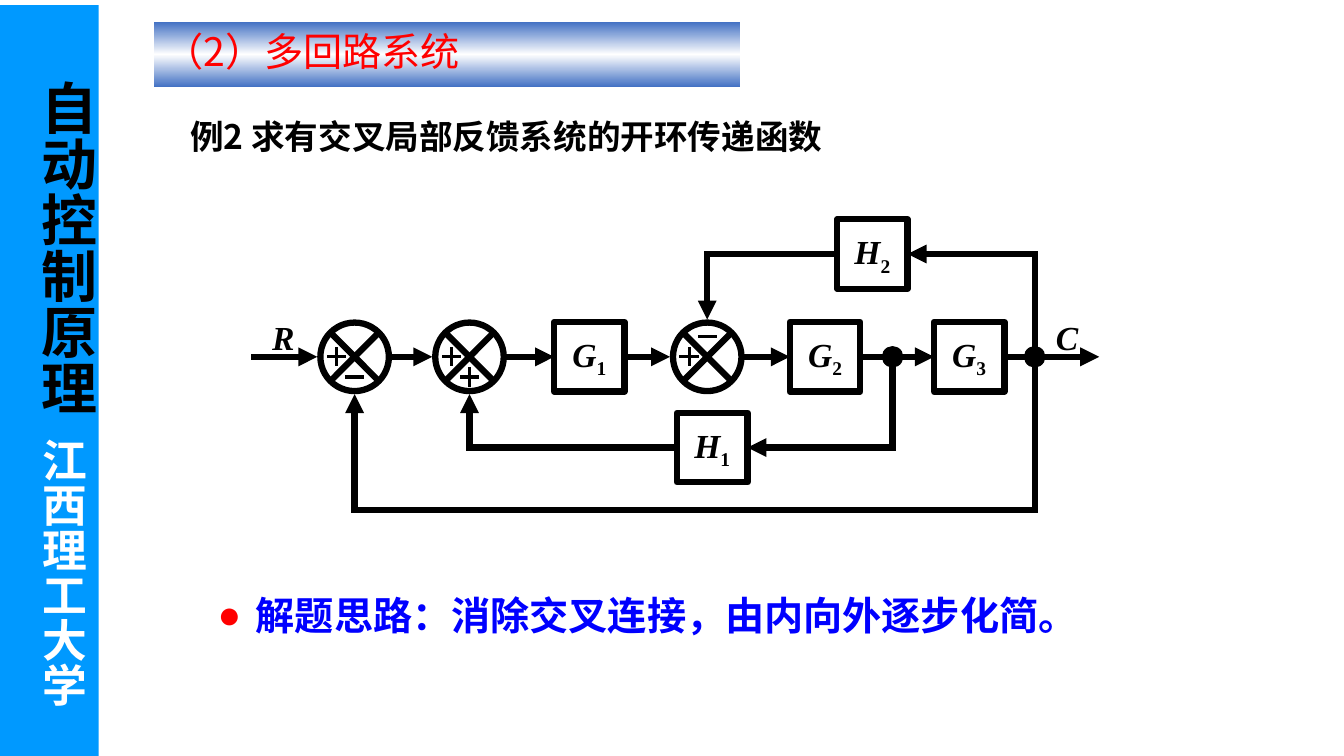
from copy import deepcopy

from lxml import etree
from pptx import Presentation
from pptx.dml.color import RGBColor
from pptx.enum.shapes import MSO_CONNECTOR, MSO_SHAPE
from pptx.enum.text import MSO_ANCHOR, PP_ALIGN
from pptx.oxml.ns import qn
from pptx.util import Inches, Pt

STRAIGHT = MSO_CONNECTOR.STRAIGHT
RECTANGLE, OVAL = MSO_SHAPE.RECTANGLE, MSO_SHAPE.OVAL
TOP, MIDDLE = MSO_ANCHOR.TOP, MSO_ANCHOR.MIDDLE
LEFT_ALIGN, CENTER = PP_ALIGN.LEFT, PP_ALIGN.CENTER
LEFT, RIGHT = 1, 3
COLORS = {"black": "000000", "white": "FFFFFF", "red": "FF0000",
          "blue": "0000FF", "sidebar": "0099FF", "banner": "4472C4"}
CJK, SERIF = "Noto Sans CJK SC", "Times New Roman"
THICK, THIN = 4.5, 2.25
RADIUS = 0.34
REACH = RADIUS + 0.03
SIGNAL, INNER, UPPER, OUTER = 3.54, 4.44, 2.52, 5.06


def color(name):
    return RGBColor.from_string(COLORS[name])


class DiagramSlide:
    def __init__(self, deck):
        self.page = deck.slides.add_slide(deck.slide_layouts[1])
        self.shapes = self.page.shapes

    def font(self, para, size, tint, name=CJK, bold=True, italic=False):
        font = para.font
        font.size, font.bold, font.italic = Pt(size), bold, italic
        font.color.rgb = color(tint)
        font.name = name
        defaults = para._p.pPr.find(qn("a:defRPr"))
        etree.SubElement(defaults, qn("a:ea")).set("typeface", CJK)

    def frame(self, box, inset=(0.1, 0.05), anchor=TOP, wrap=True):
        frame = box.text_frame
        frame.margin_left = frame.margin_right = Inches(inset[0])
        frame.margin_top = frame.margin_bottom = Inches(inset[1])
        frame.vertical_anchor, frame.word_wrap = anchor, wrap
        return frame

    def place(self, box, left, top, width, height):
        box.left, box.top = Inches(left), Inches(top)
        box.width, box.height = Inches(width), Inches(height)

    def banner(self, text):
        title = self.shapes.title
        self.place(title, 1.53, 0.22, 5.82, 0.64)
        title.fill.gradient()
        title.fill.gradient_angle = 90
        stops = title._element.spPr.find(".//" + qn("a:gsLst"))
        stops.insert(1, deepcopy(stops[0]))
        tints = ("banner", "white", "banner")
        for stop, tint, position in zip(title.fill.gradient_stops, tints, (0, 0.5, 1)):
            stop.color.rgb, stop.position = color(tint), position
        para = self.frame(title).paragraphs[0]
        para.text, para.alignment = text, LEFT_ALIGN
        self.font(para, 28, "red", bold=False)

    def bullet(self, text):
        body = self.page.placeholders[1]
        self.place(body, 2.06, 5.82, 8.74, 0.57)
        para = self.frame(body).paragraphs[0]
        para.text, para.space_before = text, Pt(0)
        settings = para._p.get_or_add_pPr()
        settings.set("marL", str(Inches(0.38)))
        settings.set("indent", str(-Inches(0.38)))
        tint = etree.SubElement(settings, qn("a:buClr"))
        etree.SubElement(tint, qn("a:srgbClr")).set("val", COLORS["red"])
        etree.SubElement(settings, qn("a:buChar")).set("char", "●")
        self.font(para, 28, "blue", "Lato")

    def text(self, text, left, top, width, height, size, tint="black", name=CJK,
             italic=False, inset=(0.1, 0.05), vertical=False):
        box = self.shapes.add_textbox(*map(Inches, (left, top, width, height)))
        frame = self.frame(box, inset)
        if vertical:
            frame._txBody.bodyPr.set("vert", "eaVert")
        para = frame.paragraphs[0]
        para.text = text
        self.font(para, size, tint, name, italic=italic)

    def shape(self, kind, left, top, width, height, fill=None, line=None):
        shape = self.shapes.add_shape(kind, *map(Inches, (left, top, width, height)))
        shape.shadow.inherit = False
        if fill:
            shape.fill.solid()
            shape.fill.fore_color.rgb = color(fill)
        else:
            shape.fill.background()
        if line:
            shape.line.color.rgb, shape.line.width = color("black"), Pt(line)
        else:
            shape.line.fill.background()
        return shape

    def block(self, letter, index, x, y):
        box = self.shape(RECTANGLE, x - 0.35, y - 0.345, 0.7, 0.69, line=THICK)
        para = self.frame(box, (0.12, 0.12), MIDDLE).paragraphs[0]
        para.alignment = CENTER
        self.font(para, 24, "black", SERIF, italic=True)
        para.add_run().text = letter
        span = para.add_run()
        span.text, span.font.italic = index, False
        span._r.get_or_add_rPr().set("baseline", "-25000")
        return box

    def line(self, start, end, arrow=False, width=THICK, source=None, target=None):
        line = self.shapes.add_connector(STRAIGHT, *map(Inches, start + end))
        if source:
            line.begin_connect(*source)
        if target:
            line.end_connect(*target)
        line.line.color.rgb, line.line.width = color("black"), Pt(width)
        outline = line.line._get_or_add_ln()
        outline.set("cap", "sq")
        if arrow:
            etree.SubElement(outline, qn("a:tailEnd")).set("type", "triangle")
        etree.SubElement(line._element.spPr, qn("a:effectLst"))

    def sign(self, symbol, x, y):
        self.line((x - 0.08, y), (x + 0.08, y), width=THIN)
        if symbol == "+":
            self.line((x, y - 0.08), (x, y + 0.08), width=THIN)

    def junction(self, x, symbol, offset):
        self.shape(OVAL, x - RADIUS, SIGNAL - RADIUS, 2 * RADIUS, 2 * RADIUS, line=THICK)
        for rise in (-0.21, 0.21):
            self.line((x - 0.21, SIGNAL - rise), (x + 0.21, SIGNAL + rise))
        self.sign("+", x - 0.18, SIGNAL)
        self.sign(symbol, x, SIGNAL + offset)

    def node(self, x):
        self.shape(OVAL, x - 0.1, SIGNAL - 0.1, 0.2, 0.2, "black", 1)


def main():
    deck = Presentation()
    deck.slide_width, deck.slide_height = Inches(13.34), Inches(7.5)
    slide = DiagramSlide(deck)

    slide.shape(RECTANGLE, 0, 0.05, 0.98, 7.45, "sidebar")
    slide.text("自动控制原理", 0.2, 0.8, 0.8, 3.5, 40, inset=(0, 0), vertical=True)
    slide.text("江西理工大学", 0.25, 4.35, 0.64, 2.9, 32, "white", "Arial",
               inset=(0, 0), vertical=True)
    slide.banner("（2）多回路系统")
    slide.text("例2 求有交叉局部反馈系统的开环传递函数", 1.79, 1.1, 8.88, 0.65, 24)
    slide.bullet("解题思路：消除交叉连接，由内向外逐步化简。")

    first, second, third = 3.52, 4.66, 7.02
    inner_node, output_node = 8.86, 10.27
    slide.junction(first, "-", 0.2)
    slide.junction(second, "+", 0.2)
    slide.junction(third, "-", -0.2)
    g1 = slide.block("G", "1", 5.85, SIGNAL)
    g2 = slide.block("G", "2", 8.19, SIGNAL)
    g3 = slide.block("G", "3", 9.62, SIGNAL)
    h1 = slide.block("H", "1", 7.07, INNER)
    h2 = slide.block("H", "2", 8.66, UPPER)

    slide.line((2.52, SIGNAL), (first - REACH, SIGNAL), True)
    slide.line((first + REACH, SIGNAL), (second - REACH, SIGNAL), True)
    slide.line((second + REACH, SIGNAL), (5.5, SIGNAL), True, target=(g1, LEFT))
    slide.line((6.2, SIGNAL), (third - REACH, SIGNAL), True, source=(g1, RIGHT))
    slide.line((third + REACH, SIGNAL), (7.84, SIGNAL), True, target=(g2, LEFT))
    slide.line((8.54, SIGNAL), (9.27, SIGNAL), True, source=(g2, RIGHT), target=(g3, LEFT))
    slide.line((9.97, SIGNAL), (10.91, SIGNAL), True, source=(g3, RIGHT))

    slide.line((inner_node, SIGNAL), (inner_node, INNER))
    slide.line((inner_node, INNER), (7.42, INNER), True, target=(h1, RIGHT))
    slide.line((6.72, INNER), (second, INNER), source=(h1, LEFT))
    slide.line((second, INNER), (second, SIGNAL + REACH), True)

    slide.line((output_node, UPPER), (output_node, OUTER))
    slide.line((output_node, UPPER), (9.01, UPPER), True, target=(h2, RIGHT))
    slide.line((8.31, UPPER), (third, UPPER), source=(h2, LEFT))
    slide.line((third, UPPER), (third, SIGNAL - REACH), True)
    slide.line((output_node, OUTER), (first, OUTER))
    slide.line((first, OUTER), (first, SIGNAL + REACH), True)
    slide.node(inner_node)
    slide.node(output_node)

    for label, left in (("R", 2.58), ("C", 10.36)):
        slide.text(label, left, 3.02, 0.45, 0.64, 24, name=SERIF, italic=True,
                   inset=(0.12, 0.12))
    deck.save("out.pptx")


if __name__ == "__main__":
    main()
